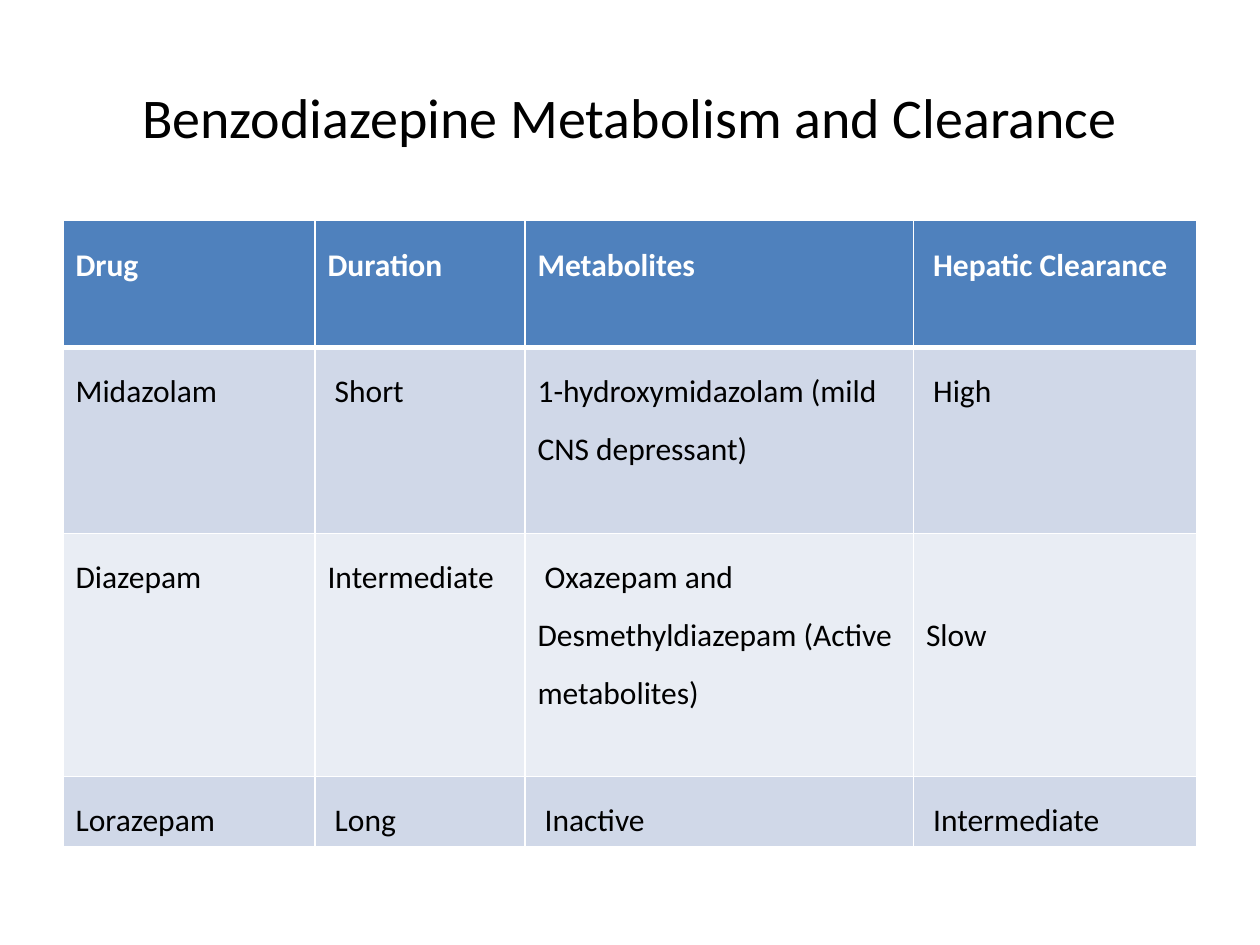
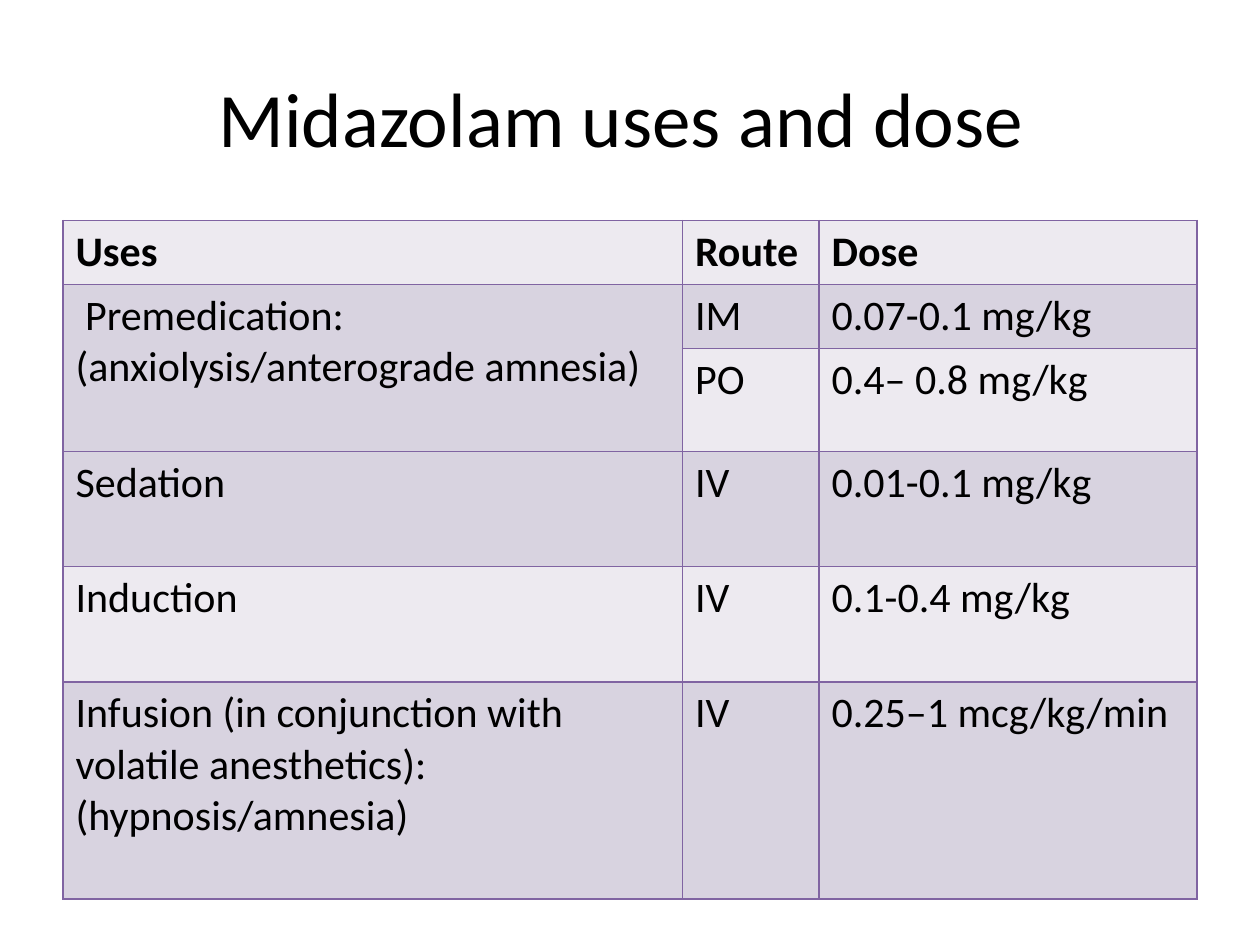
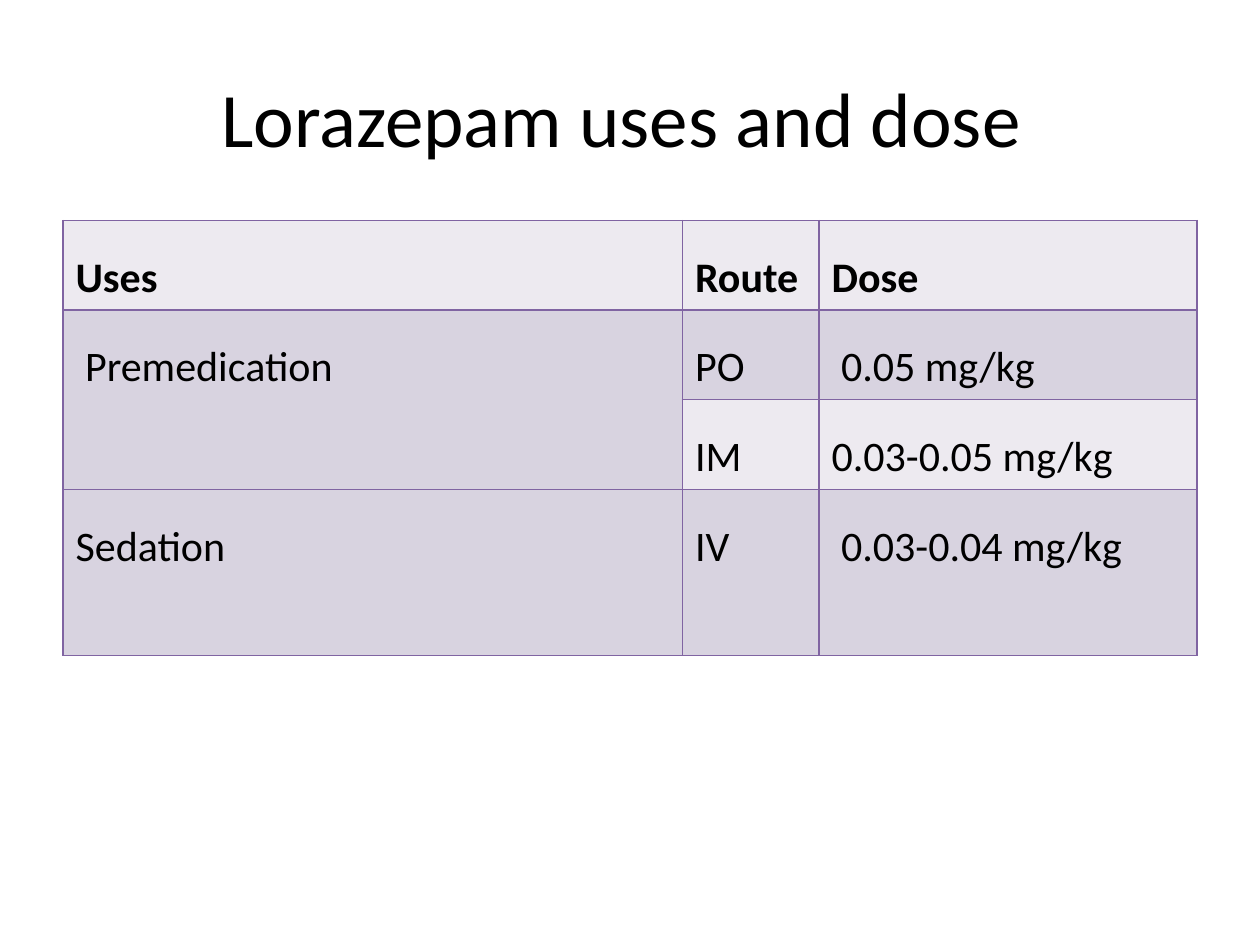
import lxml.etree
import pptx
import pptx.dml.color
import pptx.enum.text
import pptx.oxml.ns
import pptx.util

Pt = pptx.util.Pt

COLOURS = {
    "black": "000000", "white": "FFFFFF",
    "blue": "4F81BD", "blue_mid": "D0D8E8", "blue_pale": "E9EDF4",
    "purple": "8064A2", "purple_mid": "D8D3E0", "purple_pale": "EDEAF0",
}
BLUE_THEME = {"header": "blue", "header_text": "white", "odd": "blue_mid",
              "even": "blue_pale", "border": "white", "header_rule": 3}
PURPLE_THEME = {"header": "purple_pale", "header_text": "black", "odd": "purple_mid",
                "even": "purple_pale", "border": "purple", "header_rule": 1}

CLEARANCE_COLUMNS = [144, 120, 222, 162]
CLEARANCE_HEIGHTS = [72.5, 106.3, 138.9, 40]
CLEARANCE_ROWS = [
    ["Drug", "Duration", "Metabolites", " Hepatic Clearance"],
    ["Midazolam", " Short", "1-hydroxymidazolam (mild CNS depressant)", " High"],
    ["Diazepam", "Intermediate",
     " Oxazepam and\nDesmethyldiazepam (Active metabolites)", "Slow"],
    ["Lorazepam", " Long", " Inactive", " Intermediate"],
]

DOSE_COLUMNS = [354, 78, 216]
MIDAZOLAM_HEIGHTS = [36.5, 36.5, 59, 65.8, 65.8, 124]
MIDAZOLAM_ROWS = [
    ["Uses", "Route", "Dose"],
    [" Premedication: (anxiolysis/anterograde amnesia)", "IM", "0.07-0.1 mg/kg"],
    [None, "PO", "0.4– 0.8 mg/kg"],
    ["Sedation", "IV", "0.01-0.1 mg/kg"],
    ["Induction", "IV", "0.1-0.4 mg/kg"],
    ["Infusion (in conjunction with volatile anesthetics): (hypnosis/amnesia)",
     "IV", "0.25–1 mcg/kg/min"],
]
LORAZEPAM_HEIGHTS = [51.2, 51.2, 51.2, 95]
LORAZEPAM_ROWS = [
    ["Uses", "Route", "Dose"],
    [" Premedication", "PO", " 0.05 mg/kg"],
    [None, "IM", "0.03-0.05 mg/kg"],
    ["Sedation", "IV", " 0.03-0.04 mg/kg"],
]


class DrugDeck:
    """Hold the shared style and the current slide."""

    font_name = "Calibri"
    left, width = 36, 648
    title_top, title_height = 21.6, 90
    table_top = 126

    def __init__(self):
        self.deck = pptx.Presentation()
        self.deck.slide_width, self.deck.slide_height = Pt(720), Pt(540)
        self.page = None

    def colour(self, name):
        return pptx.dml.color.RGBColor.from_string(COLOURS[name])

    def add_span(self, para, text, size, colour, bold=False):
        span = para.add_run()
        span.text = text
        span.font.name, span.font.size, span.font.bold = self.font_name, Pt(size), bold
        span.font.color.rgb = self.colour(colour)

    def add_page(self, title, size):
        self.page = self.deck.slides.add_slide(self.deck.slide_layouts[5])
        box = self.page.shapes.title
        box.left, box.top = Pt(self.left), Pt(self.title_top)
        box.width, box.height = Pt(self.width), Pt(self.title_height)
        box.text_frame.vertical_anchor = pptx.enum.text.MSO_ANCHOR.MIDDLE
        para = box.text_frame.paragraphs[0]
        para.alignment = pptx.enum.text.PP_ALIGN.CENTER
        self.add_span(para, title, size, "black")

    def add_borders(self, cell, colour, widths):
        properties = cell._tc.get_or_add_tcPr()
        for position, (side, width) in enumerate(widths.items()):
            line = lxml.etree.Element(pptx.oxml.ns.qn("a:ln" + side), w=str(Pt(width)))
            fill = lxml.etree.SubElement(line, pptx.oxml.ns.qn("a:solidFill"))
            lxml.etree.SubElement(fill, pptx.oxml.ns.qn("a:srgbClr"), val=COLOURS[colour])
            properties.insert(position, line)

    def fill_cell(self, cell, text, row, theme, size, spacing):
        band = "header" if row == 0 else "odd" if row % 2 else "even"
        cell.fill.solid()
        cell.fill.fore_color.rgb = self.colour(theme[band])
        rule = theme["header_rule"]
        self.add_borders(cell, theme["border"], {
            "L": 1, "R": 1, "T": rule if row == 1 else 1, "B": rule if row == 0 else 1})
        if text is None:
            return
        for index, words in enumerate(text.split("\n")):
            frame = cell.text_frame
            para = frame.add_paragraph() if index else frame.paragraphs[0]
            para.line_spacing = spacing
            colour = theme["header_text"] if row == 0 else "black"
            self.add_span(para, words, size, colour, bold=row == 0)

    def add_table(self, rows, columns, heights, theme, size, spacing):
        table = self.page.shapes.add_table(
            len(rows), len(columns), Pt(self.left), Pt(self.table_top),
            Pt(self.width), Pt(sum(heights))).table
        table.horz_banding = False
        for column, width in zip(table.columns, columns):
            column.width = Pt(width)
        for row, (texts, height) in enumerate(zip(rows, heights)):
            table.rows[row].height = Pt(height)
            for column, text in enumerate(texts):
                cell = table.cell(row, column)
                self.fill_cell(cell, text, row, theme, size, spacing)
                if text is None:
                    table.cell(row - 1, column).merge(cell)
        return table


def main():
    drugs = DrugDeck()
    drugs.add_page("Benzodiazepine Metabolism and Clearance", 32)
    clearance = drugs.add_table(CLEARANCE_ROWS, CLEARANCE_COLUMNS, CLEARANCE_HEIGHTS,
                                BLUE_THEME, 18, 1.5)
    clearance.cell(2, 3).margin_top = Pt(36.5)
    drugs.add_page("Midazolam uses and dose ", 44)
    drugs.add_table(MIDAZOLAM_ROWS, DOSE_COLUMNS, MIDAZOLAM_HEIGHTS, PURPLE_THEME, 24, 1.0)
    drugs.add_page("Lorazepam uses and dose ", 44)
    drugs.add_table(LORAZEPAM_ROWS, DOSE_COLUMNS, LORAZEPAM_HEIGHTS, PURPLE_THEME, 24, 1.5)
    drugs.deck.save("out.pptx")


if __name__ == "__main__":
    main()
